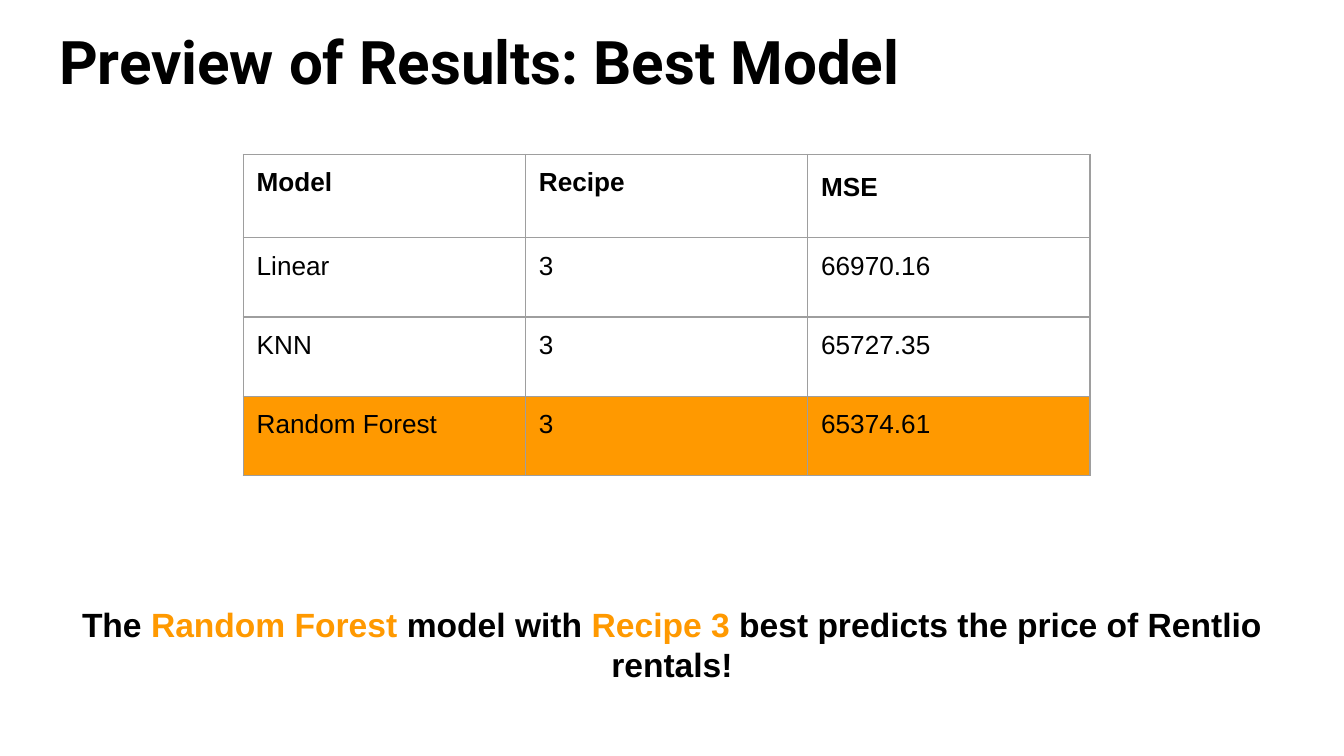
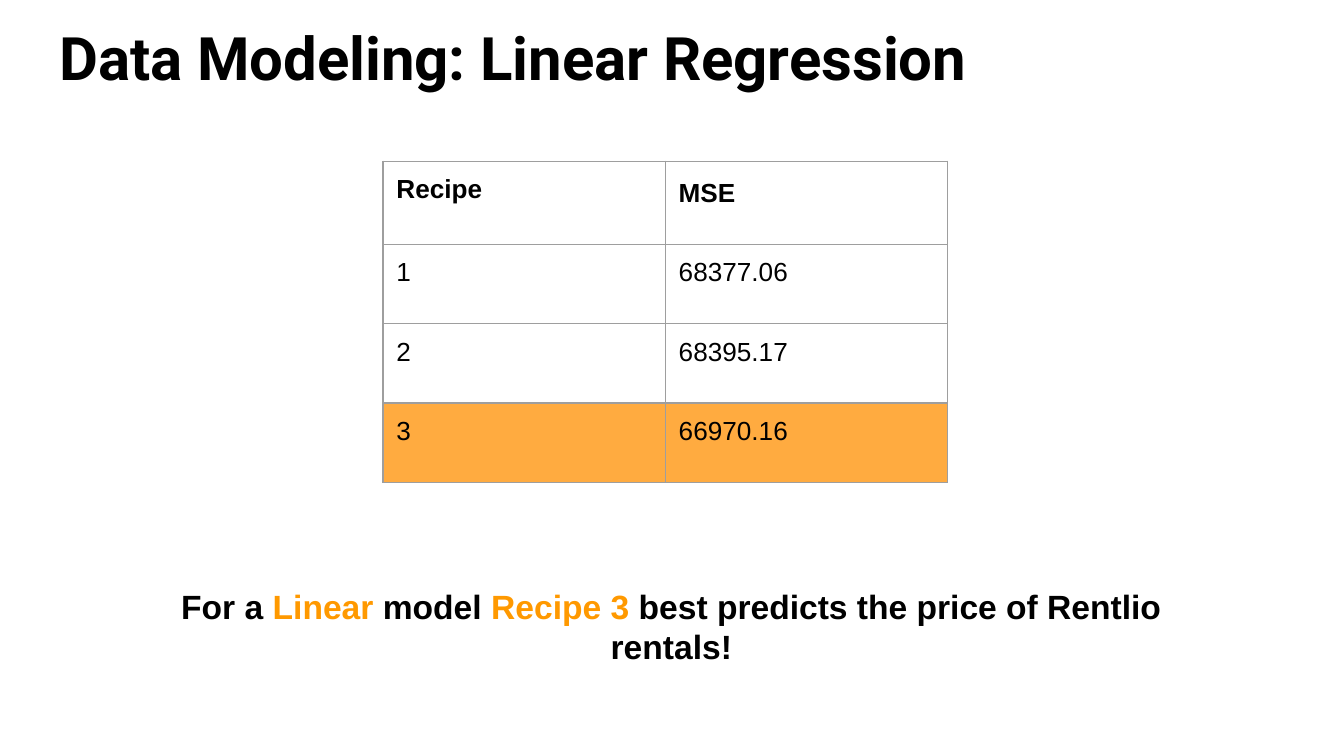
"""Build two slides that compare model errors in a table with a takeaway line."""
from pptx import Presentation
from pptx.dml.color import RGBColor
from pptx.enum.text import MSO_ANCHOR as Anchor, MSO_AUTO_SIZE as AutoSize, PP_ALIGN as Align
from pptx.oxml import parse_xml
from pptx.oxml.ns import nsdecls
from pptx.util import Inches, Pt

BLACK, ORANGE, GRID = "000000", "FF9900", "9E9E9E"
MARGIN = Inches(0.1)
COLUMN, HEADER_ROW, BODY_ROW = Inches(2.1), Inches(0.62), Inches(0.59)

SLIDES = [
    {
        "title": "Preview of Results: Best Model",
        "title_top": 0.08,
        "title_size": 32.2,
        "table_at": (1.81, 1.15),
        "highlight": ORANGE,
        "rows": [
            ("Model", "Recipe", "MSE"),
            ("Linear", "3", "66970.16"),
            ("KNN", "3", "65727.35"),
            ("Random Forest", "3", "65374.61"),
        ],
        "takeaway_at": (0.16, 4.39, 9.68, 0.5),
        "takeaway": ["The ", "Random Forest ", "model with ", "Recipe 3 ",
                     "best predicts the price of Rentlio rentals!"],
    },
    {
        "title": "Data Modeling: Linear Regression",
        "title_top": 0.05,
        "title_size": 32.1,
        "table_at": (2.85, 1.2),
        "highlight": "FFAB40",
        "rows": [
            ("Recipe", "MSE"),
            ("1", "68377.06"),
            ("2", "68395.17"),
            ("3", "66970.16"),
        ],
        "takeaway_at": (0.85, 4.26, 8.29, 0.5),
        "takeaway": ["For a ", "Linear", " model ", "Recipe 3",
                     " best predicts the price of Rentlio rentals!"],
    },
]


def color(value):
    return RGBColor.from_string(value)


def set_font(font, name, size, bold):
    font.name, font.size, font.bold = name, Pt(size), bold
    font.color.rgb = color(BLACK)


presentation = Presentation()
presentation.slide_width = Inches(10)
presentation.slide_height = presentation.slide_width * 9 // 16
title_only = presentation.slide_layouts[5]

for content in SLIDES:
    slide = presentation.slides.add_slide(title_only)

    title = slide.shapes.title
    title.left, title.top = Inches(0.34), Inches(content["title_top"])
    title.width, title.height = Inches(9.32), Inches(0.63)
    title.text = content["title"]
    paragraph = title.text_frame.paragraphs[0]
    paragraph.alignment = Align.LEFT
    set_font(paragraph.font, "Roboto", content["title_size"], True)

    rows = content["rows"]
    left, top = map(Inches, content["table_at"])
    table = slide.shapes.add_table(
        len(rows), len(rows[0]), left, top, COLUMN * len(rows[0]),
        HEADER_ROW + BODY_ROW * (len(rows) - 1)).table
    table.first_row = table.horz_banding = False
    for row_index, values in enumerate(rows):
        is_header = row_index == 0
        table.rows[row_index].height = HEADER_ROW if is_header else BODY_ROW
        for column_index, value in enumerate(values):
            table.columns[column_index].width = COLUMN
            cell = table.cell(row_index, column_index)
            cell.text = value
            cell.margin_left = cell.margin_right = MARGIN
            cell.margin_top = cell.margin_bottom = MARGIN
            paragraph = cell.text_frame.paragraphs[0]
            set_font(paragraph.font, "Arial", 14, is_header)
            if value == "MSE":
                paragraph.line_spacing, paragraph.space_after = 1.15, Pt(12)
            properties = cell._tc.get_or_add_tcPr()
            for side in ("lnL", "lnR", "lnT", "lnB"):
                properties.append(parse_xml(
                    f'<a:{side} {nsdecls("a")} w="{Pt(0.75)}"><a:solidFill>'
                    f'<a:srgbClr val="{GRID}"/></a:solidFill></a:{side}>'))
            if row_index == len(rows) - 1:
                cell.fill.solid()
                cell.fill.fore_color.rgb = color(content["highlight"])
            else:
                cell.fill.background()

    takeaway = slide.shapes.add_textbox(*map(Inches, content["takeaway_at"]))
    paragraph = takeaway.text_frame.paragraphs[0]
    paragraph.alignment = Align.CENTER
    set_font(paragraph.font, "Arial", 18, True)
    for index, text in enumerate(content["takeaway"]):
        run = paragraph.add_run()
        run.text = text
        run.font.color.rgb = color(ORANGE if index % 2 else BLACK)

    for shape, auto_size in ((title, AutoSize.NONE), (takeaway, AutoSize.SHAPE_TO_FIT_TEXT)):
        frame = shape.text_frame
        frame.word_wrap, frame.auto_size = True, auto_size
        frame.vertical_anchor = Anchor.TOP
        frame.margin_left = frame.margin_right = MARGIN
        frame.margin_top = frame.margin_bottom = MARGIN

presentation.save("out.pptx")
